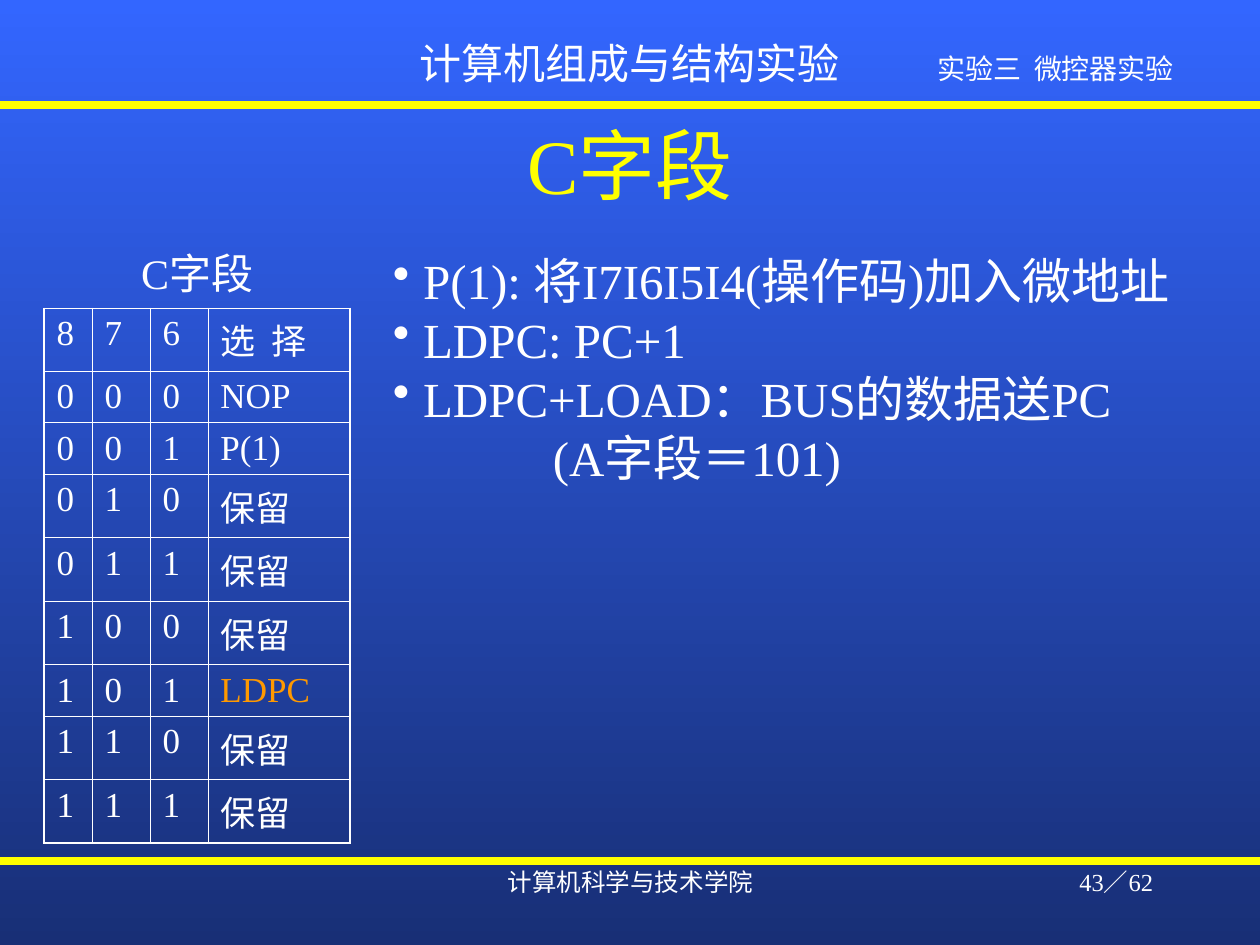
"""Build the slide that explains the C field of the microinstruction."""
import dataclasses
import typing

import pptx
import pptx.dml.color
import pptx.enum.shapes
import pptx.enum.text
import pptx.oxml
import pptx.oxml.ns
import pptx.util

WIDTH, HEIGHT = pptx.util.Inches(10), pptx.util.Inches(7.5)
COLUMNS, ROWS = 100, 75
FONT = "Times New Roman"
WHITE, YELLOW, ORANGE = "FFFFFF", "FFFF00", "FF9900"
THIN, THICK = 0.45, 1.08
ALIGN = pptx.enum.text.PP_ALIGN
FIT = pptx.enum.text.MSO_AUTO_SIZE
ANCHOR = pptx.enum.text.MSO_ANCHOR


@dataclasses.dataclass
class Line:
    """One paragraph, with its margin in grid columns."""
    text: str
    margin: float = 0
    bullet: bool = False


@dataclasses.dataclass
class Label:
    """One text box, placed in grid columns and rows."""
    lines: list[Line]
    left: float
    top: float
    width: float
    height: float
    size: float
    align: typing.Any = ALIGN.CENTER
    color: str = WHITE
    wrap: bool = True
    grow: bool = False
    anchor: typing.Any = ANCHOR.TOP


LABELS = [
    Label([Line("计算机组成与结构实验")], 32.3, 2.5, 35.3, 5, 24,
          align=ALIGN.LEFT, wrap=False, grow=True),
    Label([Line("计算机科学与技术学院")], 34.2, 68.3, 31.7, 5, 14),
    Label([Line("43／62")], 71.7, 68.3, 20.8, 5, 14, align=ALIGN.RIGHT),
    Label([Line("C字段")], 7.5, 6.7, 85, 12.5, 44, color=YELLOW, anchor=ANCHOR.MIDDLE),
    Label([Line("P(1): 将I7I6I5I4(操作码)加入微地址", 2.4, True),
           Line("LDPC: PC+1", 2.4, True),
           Line("LDPC+LOAD：BUS的数据送PC", 2.4, True),
           Line("(A字段＝101)", 12.7)],
          30.2, 19.4, 66.7, 24.4, 28, align=ALIGN.LEFT, grow=True),
    Label([Line("实验三  微控器实验")], 72, 3.6, 23.6, 3.7, 16, grow=True),
]
RULES = [8.3, 68.3]
FIELD_WIDTHS = [3.8, 4.6, 4.6, 11.3]
CHOICES = ["NOP", "P(1)", "保留", "保留", "保留", "LDPC", "保留", "保留"]


def across(columns: float) -> int:
    """Return the length of some grid columns."""
    return round(WIDTH * columns / COLUMNS)


def down(rows: float) -> int:
    """Return the length of some grid rows."""
    return round(HEIGHT * rows / ROWS)


def paint(target: typing.Any, color: str) -> None:
    """Give a colour format the colour of a hex string."""
    target.rgb = pptx.dml.color.RGBColor.from_string(color)


def write(para: typing.Any, text: str, *, size: float, color: str = WHITE,
          align: typing.Any = ALIGN.LEFT, before: float = 0) -> None:
    """Write text into a paragraph with its format."""
    para.alignment = align
    para.space_before = pptx.util.Pt(before)
    span = para.add_run()
    span.text = text
    span.font.name = FONT
    span.font.size = pptx.util.Pt(size)
    paint(span.font.color, color)


def add_xml(parent: typing.Any, tag: str, body: str = "", **attributes: typing.Any) -> None:
    """Append a drawing element to a parent element."""
    space = pptx.oxml.ns.nsdecls("a")
    pairs = " ".join(f'{key}="{value}"' for key, value in attributes.items())
    parent.append(pptx.oxml.parse_xml(f"<a:{tag} {space} {pairs}>{body}</a:{tag}>"))


def indent(para: typing.Any, line: Line) -> None:
    """Set the margin and the bullet of a paragraph."""
    properties = para._p.get_or_add_pPr()
    properties.set("marL", str(across(line.margin)))
    properties.set("indent", str(-across(line.margin) if line.bullet else 0))
    if line.bullet:
        add_xml(properties, "buClr", f'<a:srgbClr val="{WHITE}"/>')
        add_xml(properties, "buChar", char="•")
    else:
        add_xml(properties, "buNone")


def draw_label(page: typing.Any, label: Label) -> None:
    """Draw a text box."""
    box = page.shapes.add_textbox(across(label.left), down(label.top),
                                  across(label.width), down(label.height))
    frame = box.text_frame
    frame.word_wrap = label.wrap
    frame.auto_size = FIT.SHAPE_TO_FIT_TEXT if label.grow else FIT.NONE
    frame.vertical_anchor = label.anchor
    for number, line in enumerate(label.lines):
        para = frame.add_paragraph() if number else frame.paragraphs[0]
        indent(para, line)
        write(para, line.text, size=label.size, color=label.color, align=label.align)


def draw_rule(page: typing.Any, row: float) -> None:
    """Draw a yellow line over the full width."""
    rule = page.shapes.add_connector(pptx.enum.shapes.MSO_CONNECTOR.STRAIGHT,
                                     0, down(row), WIDTH, down(row))
    rule.line.width = pptx.util.Pt(4.5)
    paint(rule.line.color, YELLOW)
    add_xml(rule._element.spPr, "effectLst")


def frame_cell(cell: typing.Any, left: float, right: float, top: float, bottom: float) -> None:
    """Set the border widths of an unfilled cell, where zero hides a border."""
    properties = cell._tc.get_or_add_tcPr()
    for side, width in zip("LRTB", (left, right, top, bottom)):
        body = f'<a:solidFill><a:srgbClr val="{WHITE}"/></a:solidFill>' if width else "<a:noFill/>"
        add_xml(properties, f"ln{side}", body, w=pptx.util.Pt(width))
    cell.fill.background()


def draw_field_table(page: typing.Any) -> None:
    """Draw the table of the codes of the C field."""
    codes = [[*f"{number:03b}", choice] for number, choice in enumerate(CHOICES)]
    records = [["8", "7", "6", "选  择"], *codes]
    last_row, last_column = len(records), len(FIELD_WIDTHS) - 1
    table = page.shapes.add_table(last_row + 1, last_column + 1, across(3.5), down(18.6),
                                  across(sum(FIELD_WIDTHS)), down(5.1 + 3.4 * last_row)).table
    table.first_row = table.horz_banding = False
    for column, width in zip(table.columns, FIELD_WIDTHS):
        column.width = across(width)
    for number, row in enumerate(table.rows):
        row.height = down(3.4 if number else 5.1)
    for cell in table.rows[0].cells:
        frame_cell(cell, 0, 0, 0, THIN)
    title = table.cell(0, 0)
    title.merge(table.cell(0, last_column))
    write(title.text_frame.paragraphs[0], "C字段", size=24, align=ALIGN.CENTER, before=6)
    for number, record in enumerate(records, 1):
        for place, text in enumerate(record):
            cell = table.cell(number, place)
            write(cell.text_frame.paragraphs[0], text, size=20, before=5,
                  color=ORANGE if text == "LDPC" else WHITE)
            frame_cell(cell, THIN if place else THICK,
                       THICK if place == last_column else THIN,
                       THIN, THICK if number == last_row else THIN)


def draw_background(page: typing.Any) -> None:
    """Fill the page with a gradient that darkens downwards."""
    fill = page.background.fill
    fill.gradient()
    fill.gradient_angle = 270
    for stop, position, color in zip(fill.gradient_stops, (0, 1), ("3366FF", "182F76")):
        stop.position = position
        paint(stop.color, color)


def main() -> None:
    """Build and save the deck."""
    deck = pptx.Presentation()
    deck.slide_width, deck.slide_height = WIDTH, HEIGHT
    page = deck.slides.add_slide(deck.slide_layouts[6])
    draw_background(page)
    for row in RULES:
        draw_rule(page, row)
    draw_field_table(page)
    for label in LABELS:
        draw_label(page, label)
    deck.save("out.pptx")


if __name__ == "__main__":
    main()
